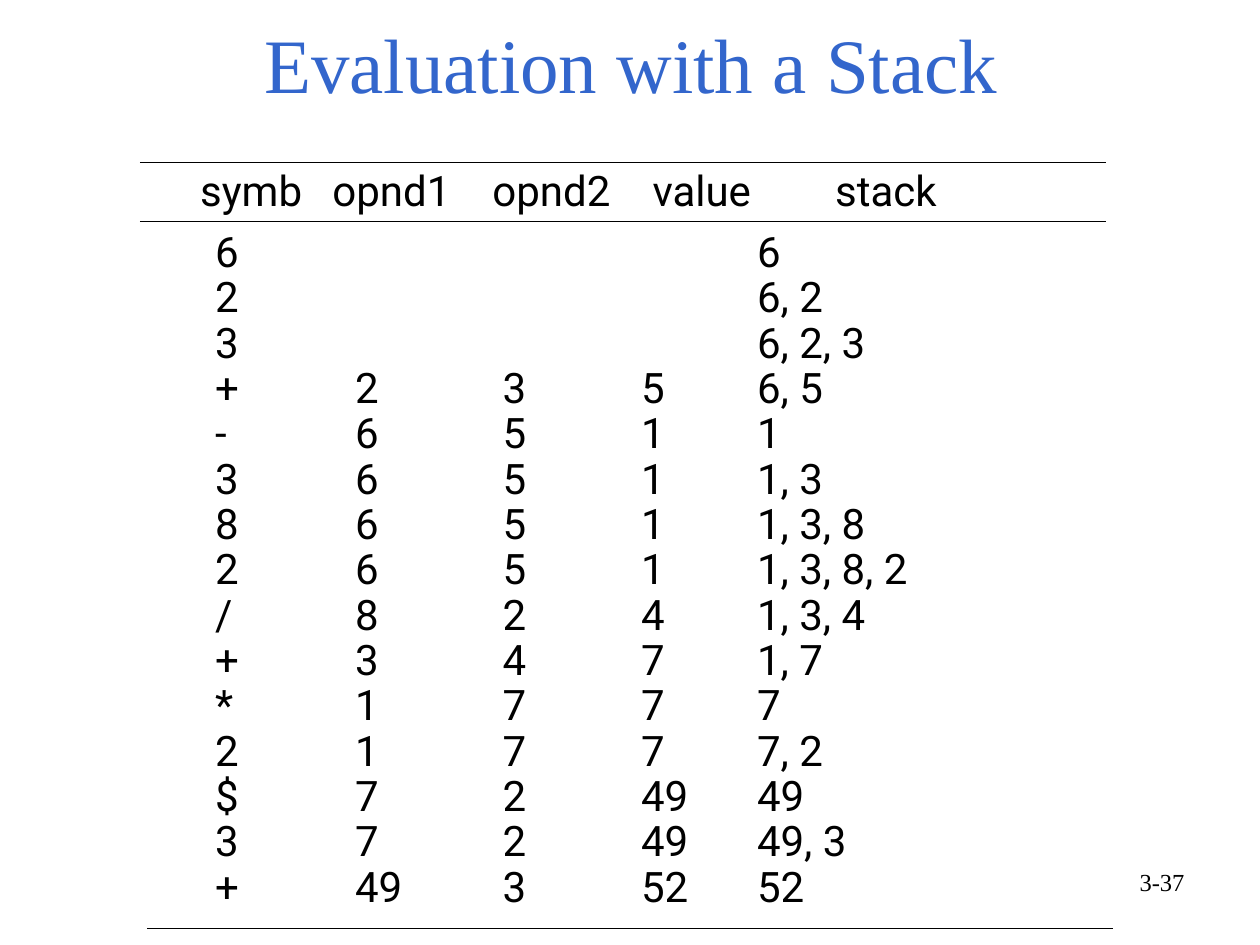
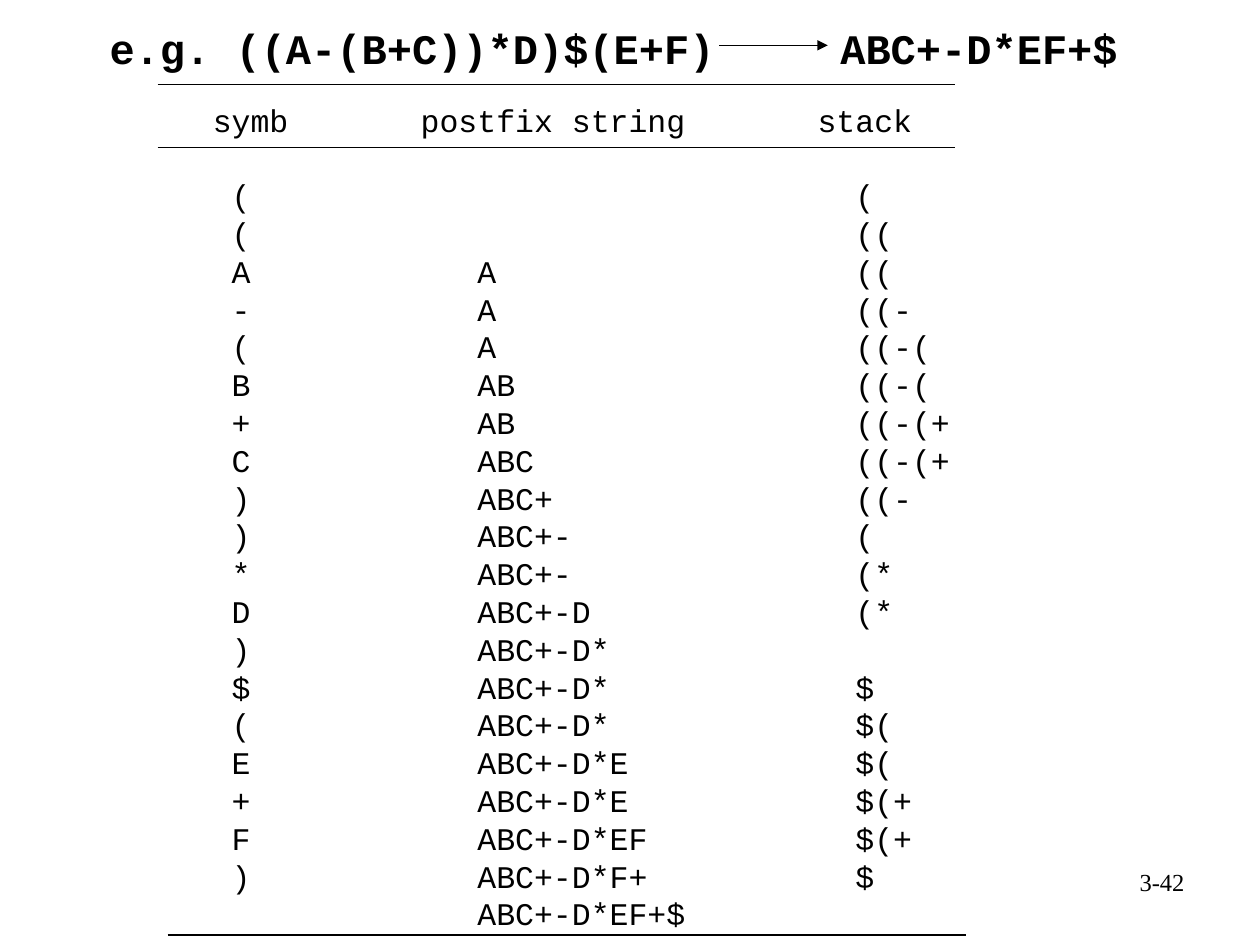
from dataclasses import dataclass
from typing import Optional

from lxml import etree
from pptx import Presentation
from pptx import util as u
from pptx.dml import color
from pptx.enum import shapes, text
from pptx.oxml import ns

COLOURS = {"ink": "000000", "title": "3366CC", "paper": "FFFFFF"}
ALIGN = text.PP_ALIGN
ANCHOR = text.MSO_ANCHOR
MIDDLE = {"vertical_anchor": ANCHOR.MIDDLE}


@dataclass(frozen=True)
class Style:
    font: str
    size: float
    colour: str = "ink"
    bold: bool = False
    align: ALIGN = ALIGN.LEFT
    line_points: Optional[float] = None
    space_before: float = 0


@dataclass(frozen=True)
class Box:
    left: float
    top: float
    width: float
    height: float


@dataclass(frozen=True)
class Line:
    row: str
    style: Style
    stops: tuple[float, ...] = ()


@dataclass(frozen=True)
class Rule:
    left: float
    right: float
    top: float
    arrow: bool = False


TITLE = Style("Times New Roman", 44, "title", align=ALIGN.CENTER)
EXAMPLE = Style("Courier New", 24, bold=True)
NUMBER = Style("Times New Roman", 14, align=ALIGN.RIGHT)
EVAL_HEAD = Style("Roboto", 24, line_points=28.8)
EVAL_ROW = Style("Roboto", 24, line_points=25.92)
POSTFIX_ROW = Style("Courier New", 18, line_points=21.6)
POSTFIX_FIRST = Style("Courier New", 18, line_points=21.6, space_before=21.6)

EVAL_HEAD_STOPS = (1.05, 2.32, 3.59, 5.04)
EVAL_STOPS = (1.11, 2.28, 3.38, 4.3)
POSTFIX_HEAD_STOPS = (1.65, 4.8)
POSTFIX_STOPS = (0.15, 2.1, 5.1)

EVAL_RULES = (Rule(1.11, 8.78, 1.29), Rule(1.11, 8.78, 1.76), Rule(1.17, 8.83, 7.37))
POSTFIX_RULES = (
    Rule(1.25, 7.58, 0.67),
    Rule(1.25, 7.58, 1.17),
    Rule(1.33, 7.67, 7.42),
    Rule(5.71, 6.57, 0.36, arrow=True),
)

EVAL_STEPS = (
    ("6", "", "", "", "6"),
    ("2", "", "", "", "6, 2"),
    ("3", "", "", "", "6, 2, 3"),
    ("+", "2", "3", "5", "6, 5"),
    ("-", "6", "5", "1", "1"),
    ("3", "6", "5", "1", "1, 3"),
    ("8", "6", "5", "1", "1, 3, 8"),
    ("2", "6", "5", "1", "1, 3, 8, 2"),
    ("/", "8", "2", "4", "1, 3, 4"),
    ("+", "3", "4", "7", "1, 7"),
    ("*", "1", "7", "7", "7"),
    ("2", "1", "7", "7", "7, 2"),
    ("$", "7", "2", "49", "49"),
    ("3", "7", "2", "49", "49, 3"),
    ("+", "49", "3", "52", "52"),
)

POSTFIX_STEPS = (
    ("(", "", "("),
    ("(", "", "(("),
    ("A", "A", "(("),
    ("-", "A", "((-"),
    ("(", "A", "((-("),
    ("B", "AB", "((-("),
    ("+", "AB", "((-(+"),
    ("C", "ABC", "((-(+"),
    (")", "ABC+", "((-"),
    (")", "ABC+-", "("),
    ("*", "ABC+-", "(*"),
    ("D", "ABC+-D", "(*"),
    (")", "ABC+-D*", ""),
    ("$", "ABC+-D*", "$"),
    ("(", "ABC+-D*", "$("),
    ("E", "ABC+-D*E", "$("),
    ("+", "ABC+-D*E", "$(+"),
    ("F", "ABC+-D*EF", "$(+"),
    (")", "ABC+-D*F+", "$"),
    ("", "ABC+-D*EF+$", ""),
)


def rgb(name: str) -> color.RGBColor:
    return color.RGBColor.from_string(COLOURS[name])


def apply(target, values: dict) -> None:
    for name, value in values.items():
        setattr(target, name, value)


def columns(*cells: str) -> str:
    return "\t".join(cells).rstrip("\t")


def add_stops(p, stops: tuple[float, ...]) -> None:
    if stops:
        tab_list = etree.SubElement(p._p.get_or_add_pPr(), ns.qn("a:tabLst"))
        for stop in stops:
            etree.SubElement(tab_list, ns.qn("a:tab"), pos=str(u.Inches(stop)), algn="l")


def add_text(s, box: Box, lines: list[Line], frame: Optional[dict] = None) -> None:
    sp = s.shapes.add_textbox(*map(u.Inches, (box.left, box.top, box.width, box.height)))
    tf = sp.text_frame
    apply(tf, {"word_wrap": True, **(frame or {})})
    for index, line in enumerate(lines):
        style = line.style
        p = tf.add_paragraph() if index else tf.paragraphs[0]
        add_stops(p, line.stops)
        p.alignment = style.align
        if style.line_points:
            p.line_spacing = u.Pt(style.line_points)
        if style.space_before:
            p.space_before = u.Pt(style.space_before)
        r = p.add_run()
        r.text = line.row
        apply(r.font, {"name": style.font, "size": u.Pt(style.size), "bold": style.bold})
        r.font.color.rgb = rgb(style.colour)


def add_rule(s, rule: Rule) -> None:
    ends = (rule.left, rule.top, rule.right, rule.top)
    sp = s.shapes.add_connector(shapes.MSO_CONNECTOR.STRAIGHT, *map(u.Inches, ends))
    sp.line.width = u.Pt(0.75)
    sp.line.color.rgb = rgb("ink")
    if rule.arrow:
        etree.SubElement(sp.line._get_or_add_ln(), ns.qn("a:tailEnd"), type="triangle")
    etree.SubElement(sp._element.spPr, ns.qn("a:effectLst"))


def add_slide(prs, number: str, rules: tuple[Rule, ...]):
    s = prs.slides.add_slide(prs.slide_layouts[6])
    s.background.fill.solid()
    s.background.fill.fore_color.rgb = rgb("paper")
    for rule in rules:
        add_rule(s, rule)
    add_text(s, Box(7.17, 6.83, 2.33, 0.52), [Line(number, NUMBER)])
    return s


def build_evaluation(prs) -> None:
    s = add_slide(prs, "3-37", EVAL_RULES)
    add_text(s, Box(0.75, 0, 8.52, 1), [Line("Evaluation with a Stack", TITLE)], MIDDLE)
    head = columns("symb", "opnd1", "opnd2", "value", "stack")
    add_text(s, Box(1.49, 1.26, 6.35, 0.5), [Line(head, EVAL_HEAD, EVAL_HEAD_STOPS)])
    steps = [Line(columns(*step), EVAL_ROW, EVAL_STOPS) for step in EVAL_STEPS]
    add_text(s, Box(1.61, 1.78, 7.69, 5.5), steps)


def build_postfix(prs) -> None:
    s = add_slide(prs, "3-42", POSTFIX_RULES)
    example = columns("e.g. ((A-(B+C))*D)$(E+F)", "ABC+-D*EF+$")
    add_text(
        s,
        Box(0.26, 0.13, 9.23, 0.5),
        [Line(example, EXAMPLE, (5.8,))],
        {**MIDDLE, "margin_left": u.Inches(0.61)},
    )
    head = columns("symb", "postfix string", "stack")
    lines = [Line(head, POSTFIX_ROW, POSTFIX_HEAD_STOPS)]
    for index, step in enumerate(POSTFIX_STEPS):
        style = POSTFIX_ROW if index else POSTFIX_FIRST
        lines.append(Line(columns("", *step), style, POSTFIX_STOPS))
    add_text(s, Box(1.59, 0.75, 6.35, 6.7), lines)


def main() -> None:
    prs = Presentation()
    apply(prs, {"slide_width": u.Inches(10), "slide_height": u.Inches(7.5)})
    build_evaluation(prs)
    build_postfix(prs)
    prs.save("out.pptx")


if __name__ == "__main__":
    main()
